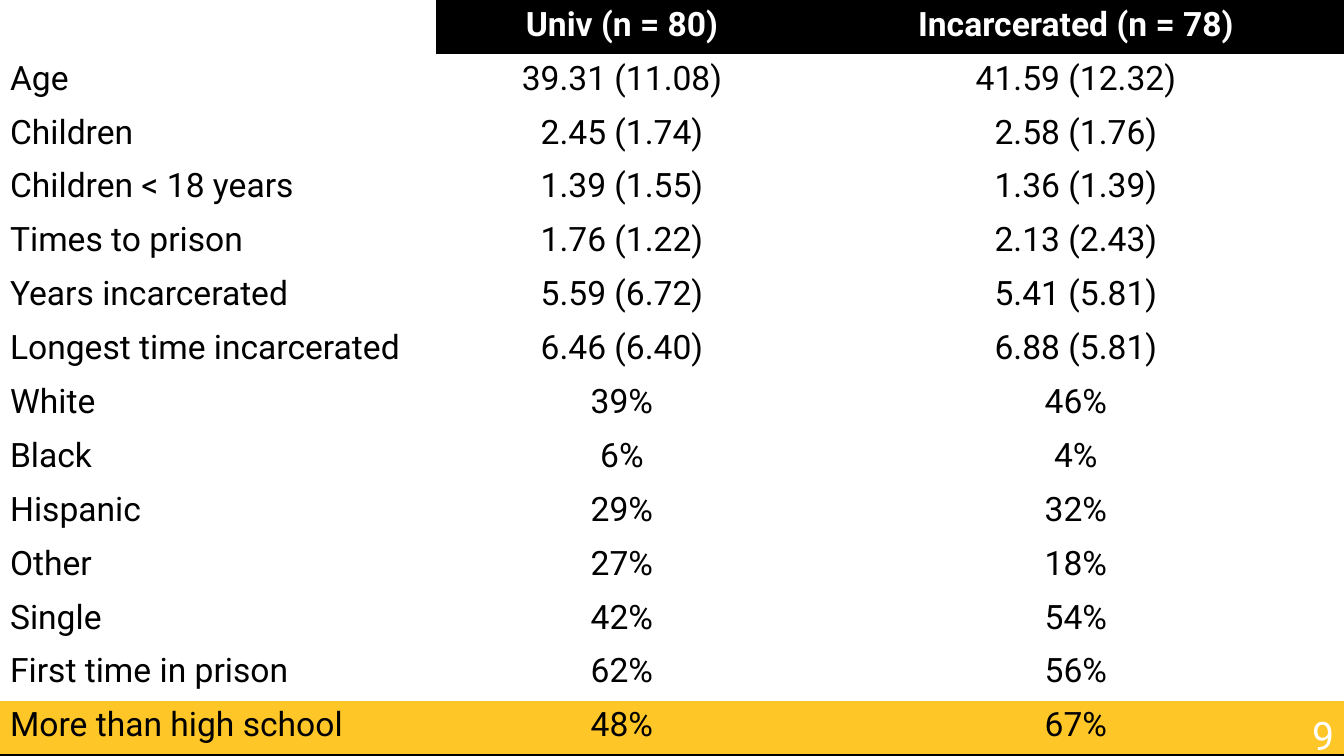
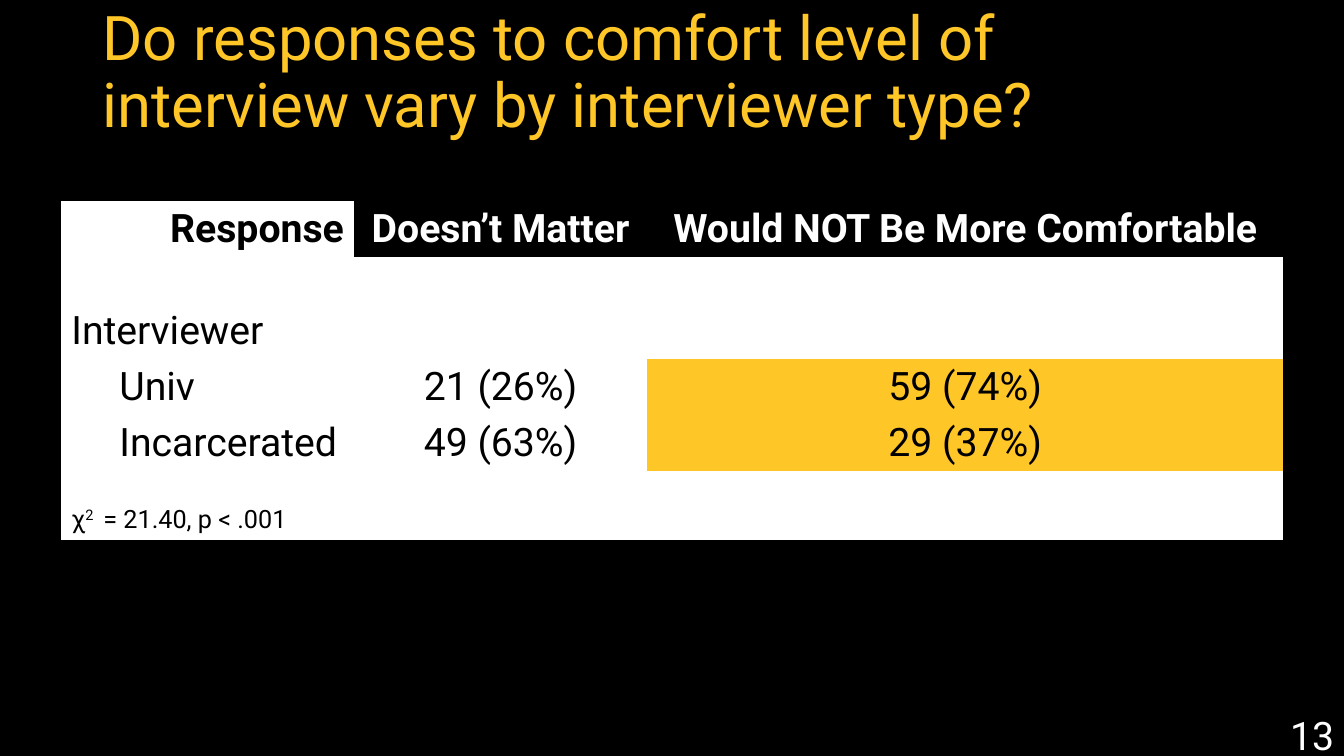
import pptx
import pptx.util
import pptx.dml.color
import pptx.enum.text

Pt = pptx.util.Pt
RGB = pptx.dml.color.RGBColor
Align = pptx.enum.text.PP_ALIGN
Anchor = pptx.enum.text.MSO_ANCHOR

# Shared look
BLACK = RGB(0x00, 0x00, 0x00)
WHITE = RGB(0xFF, 0xFF, 0xFF)
GOLD = RGB(0xFF, 0xC6, 0x27)
FONT = "Roboto"
PLAIN = "{2D5ABB26-0587-4C30-8999-92F81FD0307C}"  # no style, no grid

# Table contents
SAMPLE = [
    ("", "Univ (n = 80)", "Incarcerated (n = 78)"),
    ("Age", "39.31 (11.08)", "41.59 (12.32)"),
    ("Children", "2.45 (1.74)", "2.58 (1.76)"),
    ("Children < 18 years", "1.39 (1.55)", "1.36 (1.39)"),
    ("Times to prison", "1.76 (1.22)", "2.13 (2.43)"),
    ("Years incarcerated", "5.59 (6.72)", "5.41 (5.81)"),
    ("Longest time incarcerated", "6.46 (6.40)", "6.88 (5.81)"),
    ("White", "39%", "46%"),
    ("Black", "6%", "4%"),
    ("Hispanic", "29%", "32%"),
    ("Other", "27%", "18%"),
    ("Single", "42%", "54%"),
    ("First time in prison", "62%", "56%"),
    ("More than high school", "48%", "67%"),
]
COMFORT = [
    ("Response", "Doesn’t Matter", "Would NOT Be More Comfortable"),
    ("Interviewer", "", ""),
    ("Univ", "21 (26%)", "59 (74%)"),
    ("Incarcerated", "49 (63%)", "29 (37%)"),
    ("", "", ""),
]


def style(para, size, color, align=Align.LEFT, bold=False):
    font = para.font
    font.name, font.size, font.bold = FONT, Pt(size), bold
    font.color.rgb = color
    para.alignment = align


def paint(cell, color):
    cell.fill.solid()
    cell.fill.fore_color.rgb = color


def add_grid(slide, data, left, top, cols, rows, size):
    """Add a white table with a black header beside its corner cell."""
    frame = slide.shapes.add_table(len(rows), len(cols), Pt(left), Pt(top),
                                   Pt(sum(cols)), Pt(sum(rows)))
    table = frame.table
    table.first_row = table.horz_banding = False
    table._tbl.tblPr[0].text = PLAIN
    for col, width in zip(table.columns, cols):
        col.width = Pt(width)
    for r, (texts, height) in enumerate(zip(data, rows)):
        table.rows[r].height = Pt(height)
        for c, text in enumerate(texts):
            cell = table.cell(r, c)
            head = r == 0 and c > 0
            paint(cell, BLACK if head else WHITE)
            cell.text = text
            style(cell.text_frame.paragraphs[0], size,
                  WHITE if head else BLACK,
                  Align.CENTER if c else Align.LEFT, r == 0)
    return table


def add_title(slide, text):
    title = slide.shapes.title
    title.left, title.top = Pt(66), Pt(1)
    title.width, title.height = Pt(828), Pt(104)
    frame = title.text_frame
    frame.text = text
    frame.auto_size = pptx.enum.text.MSO_AUTO_SIZE.NONE
    frame.vertical_anchor = Anchor.MIDDLE
    para = frame.paragraphs[0]
    para.line_spacing = 0.9
    style(para, 44, GOLD)


def add_number(slide, number):
    box = slide.shapes.add_textbox(Pt(744), Pt(510.5), Pt(216), Pt(28.8))
    frame = box.text_frame
    frame.word_wrap = True
    frame.vertical_anchor = Anchor.MIDDLE
    frame.text = str(number)
    style(frame.paragraphs[0], 28, WHITE, Align.RIGHT)


def add_stat(cell):
    """Write the test result with a raised exponent."""
    para = cell.text_frame.paragraphs[0]
    style(para, 18, BLACK)
    for text in ("χ", "2 ", " = 21.40, p < .001"):
        run = para.add_run()
        run.text = text
        if text == "2 ":
            run.font._element.set("baseline", "30000")
    cell.vertical_anchor = Anchor.BOTTOM


def sample_slide(deck):
    slide = deck.slides.add_slide(deck.slide_layouts[6])
    table = add_grid(slide, SAMPLE, 0, 0, (311.5, 265.5, 383),
                     [38.5] * len(SAMPLE), 24)
    for cell in table.rows[len(SAMPLE) - 1].cells:
        paint(cell, GOLD)
    add_number(slide, 9)


def comfort_slide(deck):
    slide = deck.slides.add_slide(deck.slide_layouts[5])
    add_title(slide, "Do responses to comfort level of interview "
                     "vary by interviewer type?")
    table = add_grid(slide, COMFORT, 43.8, 143.8, (209, 209.5, 454.3),
                     (40, 72.8, 40, 40, 49), 28)
    table.cell(0, 0).text_frame.paragraphs[0].alignment = Align.RIGHT
    table.cell(1, 0).vertical_anchor = Anchor.BOTTOM
    for r in (2, 3):
        table.cell(r, 0).margin_left = Pt(41.5)
        paint(table.cell(r, 2), GOLD)
    add_stat(table.cell(4, 0))
    add_number(slide, 13)


def main():
    deck = pptx.Presentation()
    deck.slide_width, deck.slide_height = Pt(960), Pt(540)
    back = deck.slide_master.background.fill
    back.solid()
    back.fore_color.rgb = BLACK
    sample_slide(deck)
    comfort_slide(deck)
    deck.save("out.pptx")


if __name__ == "__main__":
    main()
